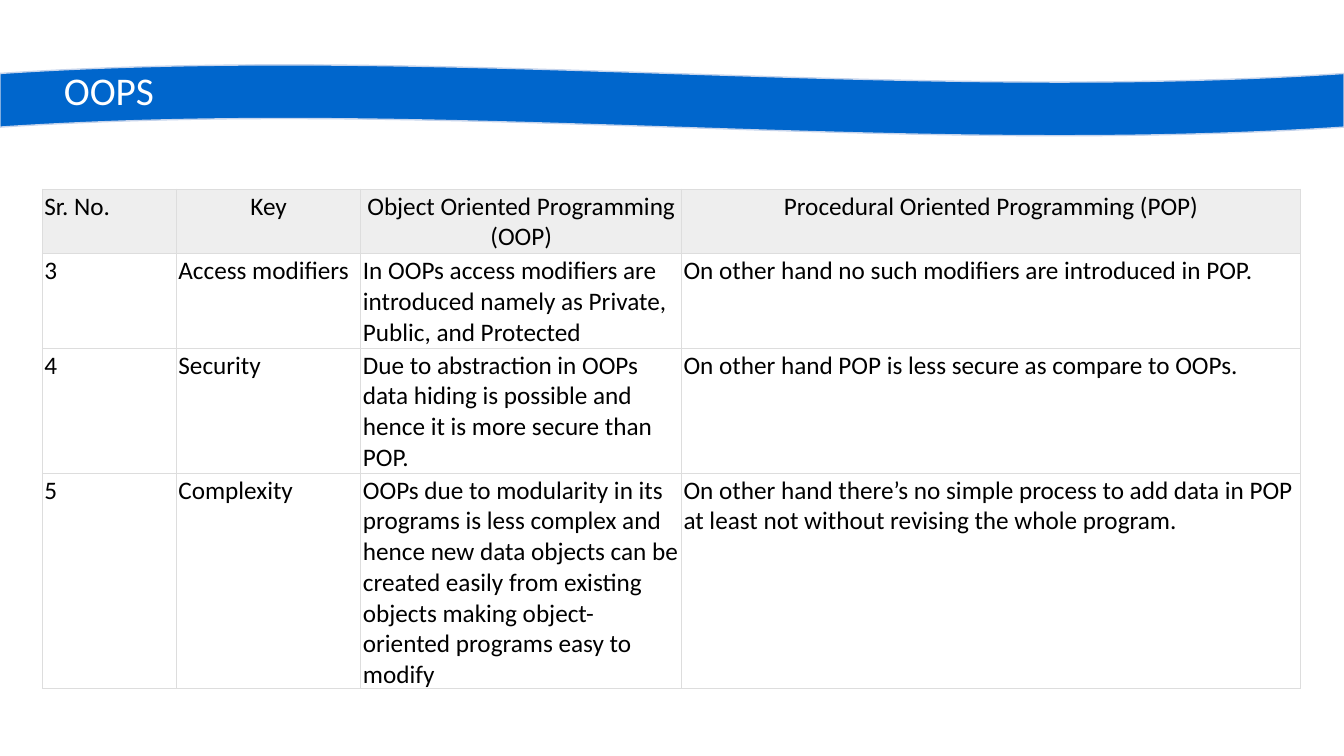
from lxml.etree import SubElement
from pptx import Presentation
from pptx.dml.color import RGBColor
from pptx.enum.shapes import MSO_SHAPE as Shape
from pptx.enum.text import MSO_ANCHOR as Anchor, MSO_AUTO_SIZE as AutoSize, PP_ALIGN as Align
from pptx.oxml.ns import qn
from pptx.util import Inches, Pt

BLUE = RGBColor(0x00, 0x66, 0xCC)
PALE_BLUE = RGBColor(0xC6, 0xD4, 0xEC)
WHITE = RGBColor(0xFF, 0xFF, 0xFF)
BLACK = RGBColor(0x00, 0x00, 0x00)
HEADER_GREY = RGBColor(0xEE, 0xEE, 0xEE)
BORDER_GREY = RGBColor(0xDD, 0xDD, 0xDD)
FONT = "Calibri"

SLIDE_WIDTH, SLIDE_HEIGHT = 13.33, 7.5
COLUMN_WIDTHS = [1.33, 1.83, 3.18, 6.14]
ROW_HEIGHTS = [0.63, 0.93, 1.23, 2.14]
COMPARISON = [
    ["Sr. No.", "Key", "Object Oriented Programming (OOP)",
     "Procedural Oriented Programming (POP)"],
    ["3", "Access modifiers",
     "In OOPs access modifiers are introduced namely as Private, Public, and Protected",
     "On other hand no such modifiers are introduced in POP."],
    ["4", "Security",
     "Due to abstraction in OOPs data hiding is possible and hence it is more secure than POP.",
     "On other hand POP is less secure as compare to OOPs."],
    ["5", "Complexity",
     "OOPs due to modularity in its programs is less complex and hence new data objects "
     "can be created easily from existing objects making object-oriented programs easy to modify",
     "On other hand there’s no simple process to add data in POP at least not without "
     "revising the whole program."],
]


def style_text(paragraph, size, color, align):
    paragraph.alignment = align
    for run in paragraph.runs:
        run.font.name = FONT
        run.font.size = Pt(size)
        run.font.color.rgb = color


def add_banner(slide, heading, left, top, width, height):
    wave = slide.shapes.add_shape(
        Shape.WAVE, Inches(left), Inches(top), Inches(width), Inches(height))
    wave.shadow.inherit = False
    wave.fill.solid()
    wave.fill.fore_color.rgb = BLUE
    wave.line.color.rgb = PALE_BLUE
    wave.line.width = Pt(1)

    title = slide.shapes.title
    wave._element.addnext(title._element)
    title.left, title.top = Inches(left + width * 0.04), Inches(top - 0.03)
    title.width, title.height = Inches(1.1), Inches(height * 0.8)
    frame = title.text_frame
    frame.text = heading
    frame.word_wrap = False
    frame.auto_size = AutoSize.SHAPE_TO_FIT_TEXT
    frame.vertical_anchor = Anchor.TOP
    style_text(frame.paragraphs[0], 28, WHITE, Align.LEFT)


def add_borders(cell):
    properties = cell._tc.get_or_add_tcPr()
    for position, side in enumerate(("a:lnL", "a:lnR", "a:lnT", "a:lnB")):
        border = SubElement(properties, qn(side), w=str(Pt(0.75)))
        fill = SubElement(border, qn("a:solidFill"))
        SubElement(fill, qn("a:srgbClr"), val=str(BORDER_GREY))
        properties.insert(position, border)


def add_comparison(slide, left, top):
    table = slide.shapes.add_table(
        len(ROW_HEIGHTS), len(COLUMN_WIDTHS), Inches(left), Inches(top),
        Inches(sum(COLUMN_WIDTHS)), Inches(sum(ROW_HEIGHTS))).table
    table.first_row = table.horz_banding = False
    for column, width in zip(table.columns, COLUMN_WIDTHS):
        column.width = Inches(width)
    for row_index, (row, height) in enumerate(zip(table.rows, ROW_HEIGHTS)):
        row.height = Inches(height)
        is_header = row_index == 0
        for column_index, cell in enumerate(row.cells):
            cell.text_frame.text = COMPARISON[row_index][column_index]
            cell.margin_left = cell.margin_right = Inches(0.02)
            cell.margin_top = cell.margin_bottom = Inches(0.02)
            if is_header:
                cell.fill.solid()
                cell.fill.fore_color.rgb = HEADER_GREY
            else:
                cell.fill.background()
            centred = is_header and column_index > 0
            style_text(cell.text_frame.paragraphs[0], 18, BLACK,
                       Align.CENTER if centred else Align.LEFT)
            add_borders(cell)


def main():
    presentation = Presentation()
    presentation.slide_width = Inches(SLIDE_WIDTH)
    presentation.slide_height = Inches(SLIDE_HEIGHT)
    slide = presentation.slides.add_slide(presentation.slide_layouts[5])
    add_banner(slide, "OOPS", 0, 0.64, SLIDE_WIDTH, 0.71)
    add_comparison(slide, 0.42, SLIDE_HEIGHT / 4)
    presentation.save("out.pptx")


if __name__ == "__main__":
    main()
